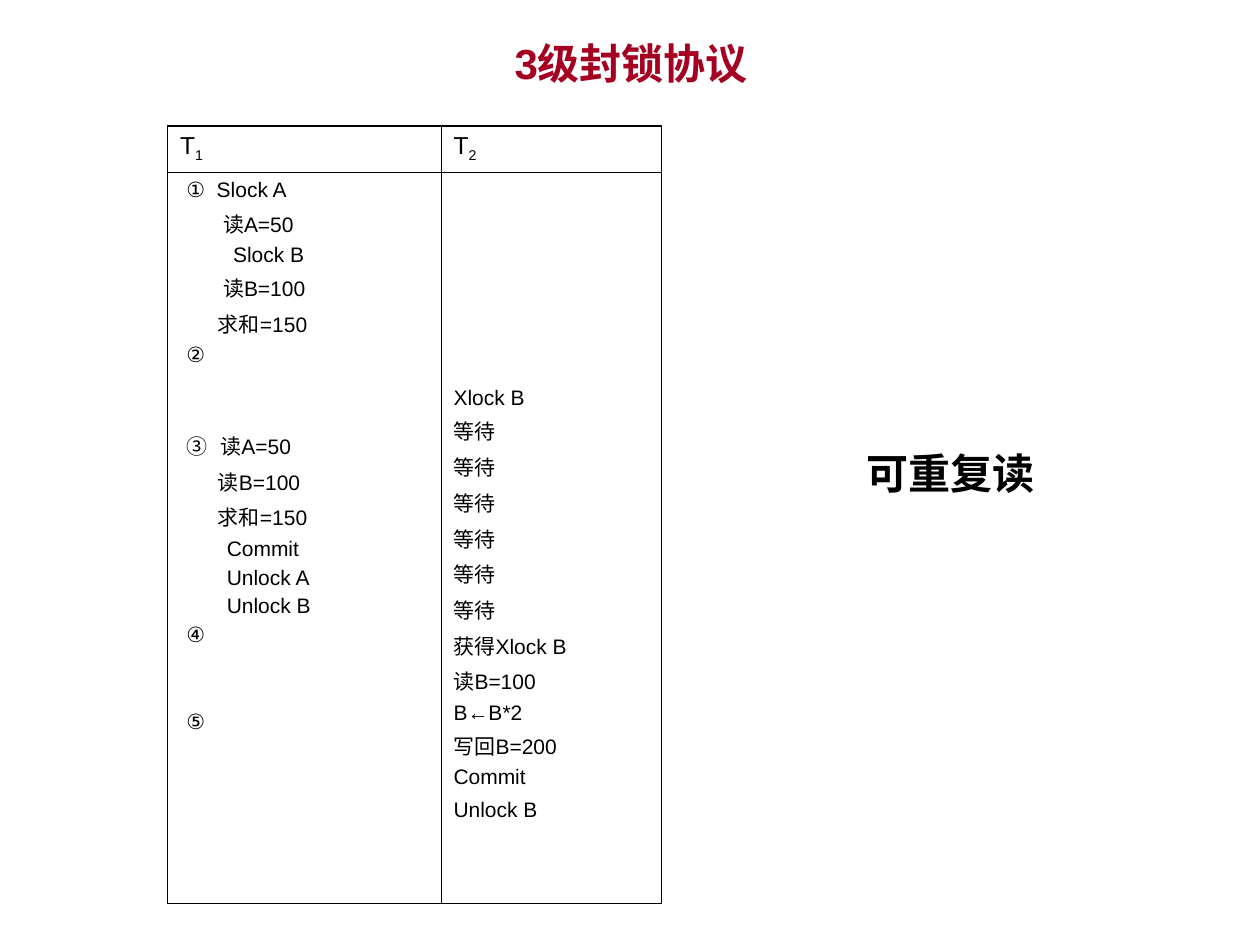
from lxml.etree import SubElement
from pptx import Presentation
from pptx.dml.color import RGBColor
from pptx.enum.text import MSO_ANCHOR, PP_ALIGN
from pptx.oxml.ns import qn
from pptx.util import Inches, Pt

COLORS = {"title": "A50021", "ink": "000000"}
TITLE = "3级封锁协议"
LABEL = "可重复读"
HEADERS = [("T", "1"), ("T", "2")]

# Each step: text, left indent in inches, space before in points.
# A tab separates a step number from its operation.
GAP = 3
LONG_GAP = 36
T1_STEPS = [
    ("①\tSlock A", 0.29, 0),
    ("读A=50", 0.34, GAP),
    ("Slock B", 0.42, GAP),
    ("读B=100", 0.34, GAP),
    ("求和=150", 0.3, GAP),
    ("②", 0.05, GAP),
    ("③\t读A=50", 0.32, LONG_GAP),
    ("读B=100", 0.3, GAP),
    ("求和=150", 0.3, GAP),
    ("Commit", 0.37, GAP),
    ("Unlock A", 0.37, GAP),
    ("Unlock B", 0.37, GAP),
    ("④", 0.05, GAP),
    ("⑤", 0.05, LONG_GAP),
]
T2_LINES = ["Xlock B"] + ["等待"] * 6 + [
    "获得Xlock B", "读B=100", "B←B*2", "写回B=200", "Commit", "Unlock B"]
T2_STEPS = [(text, 0, GAP if row else 0) for row, text in enumerate(T2_LINES)]
T2_STEPS[-1] = ("Unlock B", 0, 5)

NUMBER_INDENT = 0.05
COLUMN_WIDTHS = [2.17, 1.75]
ROW_HEIGHTS = [0.37, 5.8]
STEP_TOP_MARGINS = [0.05, 1.7]
OUTER_LINE, INNER_LINE = 1.08, 0.45


def style(span, size, color="ink", name="Arial", bold=False):
    span.font.size = Pt(size)
    span.font.name = name
    span.font.bold = bold
    span.font.color.rgb = RGBColor.from_string(COLORS[color])


def add_heading(slide, text, place, wrap, **look):
    box = slide.shapes.add_textbox(*(Inches(value) for value in place))
    frame = box.text_frame
    frame.word_wrap = wrap
    frame.vertical_anchor = MSO_ANCHOR.MIDDLE
    para = frame.paragraphs[0]
    para.text = text
    para.alignment = PP_ALIGN.CENTER
    style(para.runs[0], 24, bold=True, **look)


def set_borders(cell, row, column):
    """Draw heavy lines on the table's outside and thin lines inside."""
    outer = {"a:lnL": column == 0, "a:lnR": column == 1,
             "a:lnT": row == 0, "a:lnB": row == 1}
    properties = cell._tc.get_or_add_tcPr()
    for position, (tag, heavy) in enumerate(outer.items()):
        line = SubElement(properties, qn(tag))
        line.set("w", str(Pt(OUTER_LINE if heavy else INNER_LINE)))
        fill = SubElement(line, qn("a:solidFill"))
        SubElement(fill, qn("a:srgbClr")).set("val", COLORS["ink"])
        properties.remove(line)
        properties.insert(position, line)


def fill_header(cell, letter, subscript):
    para = cell.text_frame.paragraphs[0]
    for text in (letter, subscript):
        span = para.add_run()
        span.text = text
        style(span, 14)
    para.runs[1].font._element.set("baseline", "-25000")


def fill_steps(cell, steps):
    frame = cell.text_frame
    for index, (text, indent, space) in enumerate(steps):
        para = frame.add_paragraph() if index else frame.paragraphs[0]
        para.text = text
        para.space_before = Pt(space)
        properties = para._p.get_or_add_pPr()
        hanging = NUMBER_INDENT - indent if "\t" in text else 0
        properties.set("marL", str(Inches(indent)))
        properties.set("indent", str(Inches(hanging)))
        for span in para.runs:
            style(span, 12)


def add_schedule(slide):
    table = slide.shapes.add_table(
        2, 2, Inches(1.33), Inches(1),
        Inches(sum(COLUMN_WIDTHS)), Inches(sum(ROW_HEIGHTS))).table
    table.first_row = table.horz_banding = False
    for row, height in enumerate(ROW_HEIGHTS):
        table.rows[row].height = Inches(height)
    for column, steps in enumerate([T1_STEPS, T2_STEPS]):
        table.columns[column].width = Inches(COLUMN_WIDTHS[column])
        fill_header(table.cell(0, column), *HEADERS[column])
        fill_steps(table.cell(1, column), steps)
        for row in range(2):
            cell = table.cell(row, column)
            cell.fill.background()
            set_borders(cell, row, column)
        table.cell(1, column).margin_top = Inches(STEP_TOP_MARGINS[column])


def main():
    deck = Presentation()
    deck.slide_width, deck.slide_height = Inches(10), Inches(7.5)
    page = deck.slides.add_slide(deck.slide_layouts[6])
    add_heading(page, TITLE, (0.75, 0.21, 8.52, 0.58), True, color="title")
    add_schedule(page)
    add_heading(page, LABEL, (6.13, 3.42, 2.83, 0.67), False, name="Times New Roman")
    deck.save("out.pptx")


if __name__ == "__main__":
    main()
